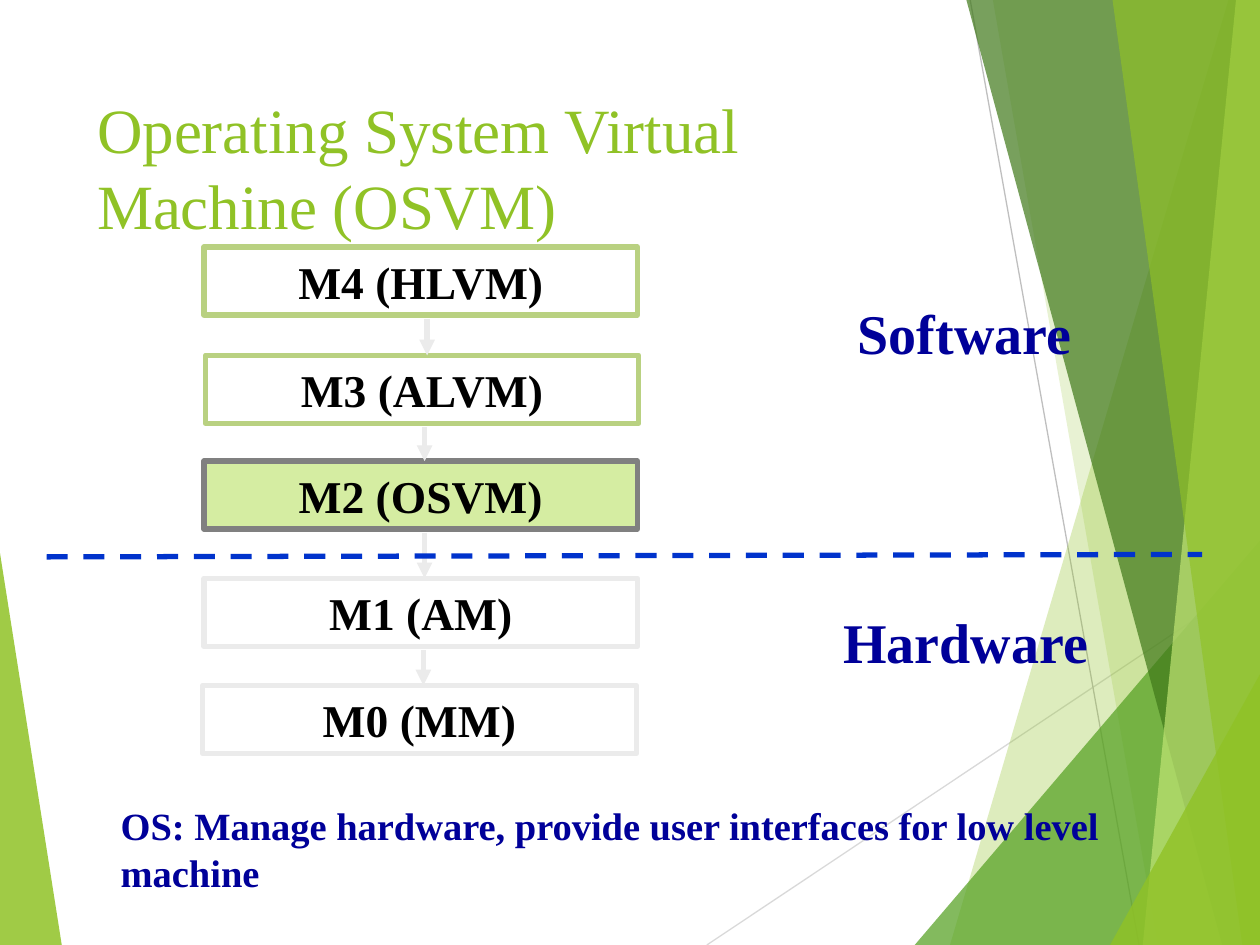
"""Build the Operating System Virtual Machine slide."""
import dataclasses
import itertools

import pptx
import pptx.dml.color
import pptx.enum.dml
import pptx.enum.shapes
import pptx.enum.text
import pptx.oxml.ns
import pptx.util
from lxml import etree

ALIGN = pptx.enum.text.PP_ALIGN
ANCHOR = pptx.enum.text.MSO_ANCHOR
FIT = pptx.enum.text.MSO_AUTO_SIZE
QN = pptx.oxml.ns.qn


@dataclasses.dataclass(frozen=True)
class Theme:
    """Colours, font and type sizes in points."""
    font: str = "Times New Roman"
    title: int = 36
    label: int = 32
    stage: int = 26
    note: int = 22
    stroke: float = 3
    hairline: float = 0.75
    green: str = "90C226"
    leaf: str = "54A021"
    forest: str = "3F7819"
    lime: str = "C0E474"
    navy: str = "000099"
    black: str = "000000"
    blue: str = "0033CC"
    olive: str = "B9D181"
    pale: str = "EBEBEB"
    gray: str = "808080"
    highlight: str = "D5EDA2"
    ray_light: str = "D9D9D9"
    ray_dark: str = "BFBFBF"


def assign(target, values):
    """Set every attribute named in values."""
    for name, value in values.items():
        setattr(target, name, value)


def rgb(color):
    """Turn a hex string into a colour."""
    return pptx.dml.color.RGBColor.from_string(color)


class SlideBuilder:
    """Draw on one slide over a grid of 100 columns by 75 rows."""

    def __init__(self, deck, theme):
        """Open a title slide and derive the grid cell."""
        self.theme = theme
        self.column = deck.slide_width / 100
        self.row = deck.slide_height / 75
        self.slide = deck.slides.add_slide(deck.slide_layouts[5])
        self.shapes = self.slide.shapes

    def box(self, left, top, width, height):
        """Convert a grid rectangle to lengths."""
        return (round(left * self.column), round(top * self.row),
                round(width * self.column), round(height * self.row))

    def letter(self, shape, text, size, color, bold=True, align=ALIGN.CENTER,
               anchor=ANCHOR.MIDDLE, wrap=True):
        """Put one formatted paragraph in a shape."""
        frame = shape.text_frame
        frame.text = text
        assign(frame, {"word_wrap": wrap, "auto_size": FIT.NONE, "vertical_anchor": anchor})
        paragraph = frame.paragraphs[0]
        paragraph.alignment = align
        font = paragraph.runs[0].font
        assign(font, {"name": self.theme.font, "size": pptx.util.Pt(size), "bold": bold})
        font.color.rgb = rgb(color)

    def title(self, text, area):
        """Fill and place the title placeholder."""
        heading = self.shapes.title
        assign(heading, dict(zip(("left", "top", "width", "height"), self.box(*area))))
        self.letter(heading, text, self.theme.title, self.theme.green, False, ALIGN.LEFT, ANCHOR.TOP)

    def text(self, text, area, size, **layout):
        """Add a bold navy text box."""
        self.letter(self.shapes.add_textbox(*self.box(*area)), text, size, self.theme.navy, **layout)

    def stage(self, text, area, outline, fill):
        """Add one outlined machine level."""
        level = self.shapes.add_shape(pptx.enum.shapes.MSO_SHAPE.RECTANGLE, *self.box(*area))
        level.shadow.inherit = False
        if fill:
            level.fill.solid()
            level.fill.fore_color.rgb = rgb(fill)
        else:
            level.fill.background()
        level.line.color.rgb = rgb(outline)
        level.line.width = pptx.util.Pt(self.theme.stroke)
        self.letter(level, text, self.theme.stage, self.theme.black)

    def line(self, ends, color, width, dash=None, arrow=False):
        """Add a straight line, dashed or with an arrowhead if asked."""
        link = self.shapes.add_connector(
            pptx.enum.shapes.MSO_CONNECTOR.STRAIGHT, *self.box(*ends))
        link.line.color.rgb = rgb(color)
        assign(link.line, {"width": pptx.util.Pt(width), "dash_style": dash})
        properties = link._element.spPr
        if arrow:
            etree.SubElement(properties.find(QN("a:ln")), QN("a:tailEnd"), type="triangle")
        etree.SubElement(properties, QN("a:effectLst"))

    def facet(self, corners, color, opacity):
        """Add a translucent polygon."""
        points = [self.box(x, y, 0, 0)[:2] for x, y in corners]
        outline = self.shapes.build_freeform(*points[0])
        outline.add_line_segments(points[1:], close=True)
        panel = outline.convert_to_shape()
        panel.shadow.inherit = False
        panel.fill.solid()
        panel.fill.fore_color.rgb = rgb(color)
        panel.line.fill.background()
        tint = panel._element.spPr.find(QN("a:solidFill"))[0]
        etree.SubElement(tint, QN("a:alpha"), val=str(opacity * 1000))


def main():
    """Compose and save the slide."""
    deck = pptx.Presentation()
    assign(deck, {"slide_width": pptx.util.Inches(10), "slide_height": pptx.util.Inches(7.5)})
    theme = Theme()
    page = SlideBuilder(deck, theme)

    page.facet([(0, 43.9), (4.9, 75), (0, 75)], theme.green, 85)
    page.line((56.1, 75, 100, 45.7), theme.ray_light, theme.hairline)
    page.line((77, 0, 90.4, 75), theme.ray_dark, theme.hairline)
    facets = [
        (97.5, 75.4, 0, theme.green, 30),
        (78.8, 91.9, 0, theme.green, 20),
        (100, 72.6, 42.9, theme.leaf, 72),
        (76.7, 97, 0, theme.forest, 70),
        (98.1, 90.7, 0, theme.lime, 70),
        (88.3, 98.6, 0, theme.green, 65),
        (100, 88.1, 53.5, theme.green, 80),
    ]
    for upper, lower, top, color, opacity in facets:
        page.facet([(upper, top), (lower, 75), (100, 75), (100, top)], color, opacity)

    page.title("Operating System Virtual Machine (OSVM)", (6.7, 6.7, 69.4, 14.4))

    stages = [
        ("M4 (HLVM)", 16.2, 19.6, theme.olive, None),
        ("M3 (ALVM)", 16.3, 28.2, theme.olive, None),
        ("M2 (OSVM)", 16.2, 36.6, theme.gray, theme.highlight),
        ("M1 (AM)", 16.2, 45.9, theme.pale, None),
        ("M0 (MM)", 16.1, 54.4, theme.pale, None),
    ]
    stage_width, stage_height, gap = 34.4, 5.4, 0.3
    for name, left, top, outline, fill in stages:
        page.stage(name, (left, top, stage_width, stage_height), outline, fill)
    for (upper, lower), center in zip(itertools.pairwise(stages), (33.9, 33.7, 33.7, 33.6)):
        page.line((center, upper[2] + stage_height + gap, center, lower[2]),
                  theme.pale, theme.stroke, arrow=True)

    page.text("OS: Manage hardware, provide user interfaces for low level machine",
              (8.6, 63.2, 89.5, 8.4), theme.note, align=ALIGN.LEFT, anchor=ANCHOR.TOP)
    page.line((3.7, 44.2, 95.4, 44), theme.blue, theme.stroke, pptx.enum.dml.MSO_LINE.DASH)
    for side, area in (("Software", (67, 23.2, 19.1, 6.4)), ("Hardware", (65.4, 47.7, 22.5, 6.4))):
        page.text(side, area, theme.label, anchor=ANCHOR.TOP, wrap=False)

    deck.save("out.pptx")


if __name__ == "__main__":
    main()
